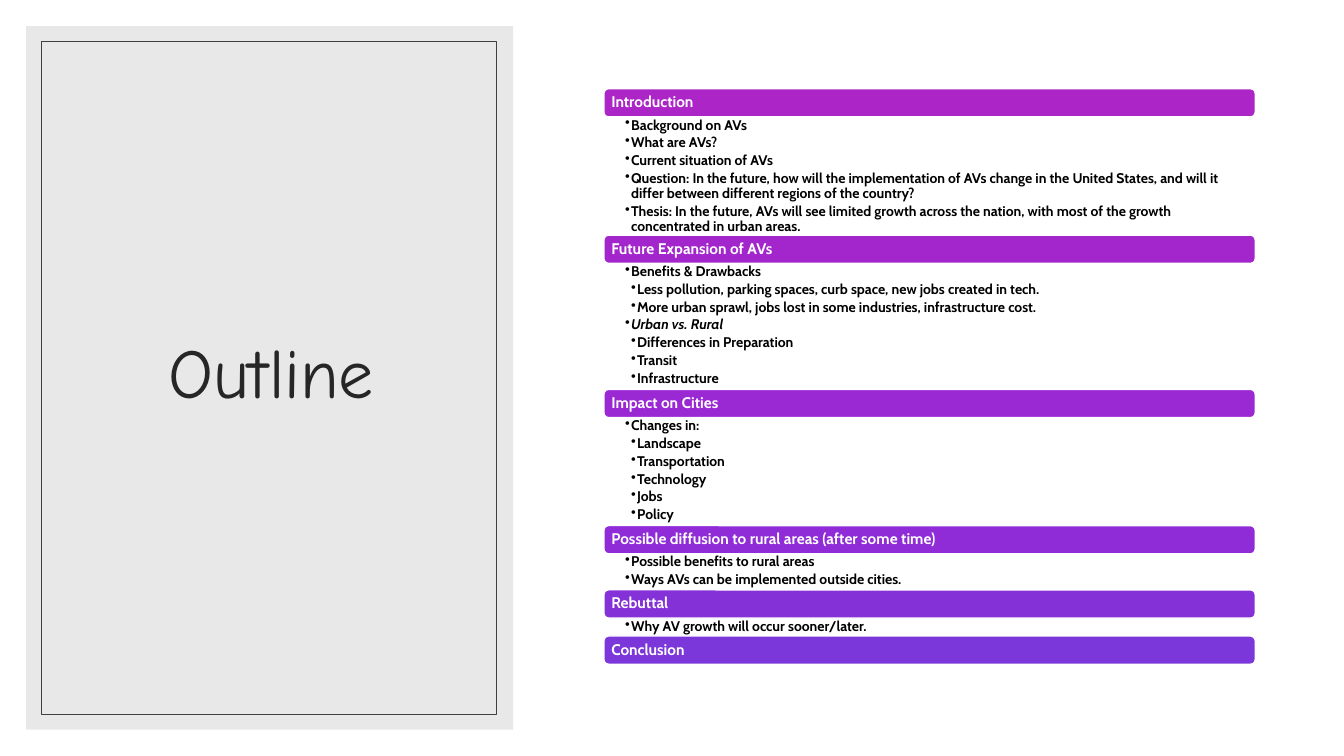
from lxml import etree
from pptx import Presentation
from pptx.dml.color import RGBColor
from pptx.enum.shapes import MSO_SHAPE
from pptx.enum.text import MSO_ANCHOR, MSO_AUTO_SIZE, PP_ALIGN
from pptx.oxml.ns import qn
from pptx.util import Inches, Pt

RECTANGLE, ROUNDED = MSO_SHAPE.RECTANGLE, MSO_SHAPE.ROUNDED_RECTANGLE
TOP, MIDDLE = MSO_ANCHOR.TOP, MSO_ANCHOR.MIDDLE
LEFT, CENTER = PP_ALIGN.LEFT, PP_ALIGN.CENTER
NO_AUTOFIT = MSO_AUTO_SIZE.NONE

TITLE = "Outline"
ITALIC_POINT = "Urban vs. Rural"
SECTIONS = [
    ("Introduction", "AC25C7", 2, [
        (1, "Background on AVs"),
        (1, "What are AVs?"),
        (1, "Current situation of AVs"),
        (1, "Question: In the future, how will the implementation of AVs change in the "
            "United States, and will it differ between different regions of the country?"),
        (1, "Thesis: In the future, AVs will see limited growth across the nation, "
            "with most of the growth concentrated in urban areas."),
    ]),
    ("Future Expansion of AVs", "A326CD", 0, [
        (1, "Benefits & Drawbacks"),
        (2, "Less pollution, parking spaces, curb space, new jobs created in tech."),
        (2, "More urban sprawl, jobs lost in some industries, infrastructure cost."),
        (1, ITALIC_POINT),
        (2, "Differences in Preparation"),
        (2, "Transit"),
        (2, "Infrastructure"),
    ]),
    ("Impact on Cities", "9A28D3", 0, [
        (1, "Changes in:"),
        (2, "Landscape"),
        (2, "Transportation"),
        (2, "Technology"),
        (2, "Jobs"),
        (2, "Policy"),
    ]),
    ("Possible diffusion to rural areas (after some time)", "8F2BD7", 0, [
        (1, "Possible benefits to rural areas"),
        (1, "Ways AVs can be implemented outside cities."),
    ]),
    ("Rebuttal", "8531D8", 0, [
        (1, "Why AV growth will occur sooner/later."),
    ]),
    ("Conclusion", "7B37D9", 0, []),
]

COLORS = {"panel": "D9D9D9", "frame": "404040", "title": "262626",
          "white": "FFFFFF", "point": "000000"}
TITLE_FONT = {"name": "Comic Neue", "size": Pt(50), "bold": False}
HEADING_FONT = {"name": "Cabin", "size": Pt(11), "bold": True}
POINT_FONT = {"name": "Cabin", "size": Pt(10), "bold": True}

SLIDE_W, SLIDE_H = 13.33, 7.5
PANEL = (0.26, 0.26, 4.83, 6.98)
FRAME = (0.41, 0.41, 4.51, 6.68)
TITLE_BOX = (0.63, 0.61, 4.12, 6.24)
LIST_LEFT, LIST_TOP, LIST_W = 5.99, 0.88, 6.46
HEADING_H = 0.28
POINT_ROW = 1.25 / 7
WRAPPED_ROW = 0.14
INDENT = 0.06


def add_box(kind, area, fill=None, line=None, line_width=1):
    box = slide.shapes.add_shape(kind, *map(Inches, area))
    box.shadow.inherit = False
    if fill:
        box.fill.solid()
        box.fill.fore_color.rgb = RGBColor.from_string(fill)
    else:
        box.fill.background()
    if line:
        box.line.color.rgb = RGBColor.from_string(line)
        box.line.width = Pt(line_width)
    else:
        box.line.fill.background()
    return box


def format_frame(frame, margins, anchor):
    frame.word_wrap = True
    frame.auto_size = NO_AUTOFIT
    frame.vertical_anchor = anchor
    for side, margin in zip(("left", "top", "right", "bottom"), margins):
        setattr(frame, f"margin_{side}", Inches(margin))


def write(paragraph, words, font, color, align=LEFT, italic=False):
    paragraph.alignment = align
    paragraph.line_spacing = 0.9
    run = paragraph.add_run()
    run.text = words
    for attribute, value in font.items():
        setattr(run.font, attribute, value)
    run.font.italic = italic
    run.font.color.rgb = RGBColor.from_string(color)


def add_bullet(paragraph, level):
    paragraph.level = level
    paragraph.space_after = Pt(1.9)
    properties = paragraph._p.get_or_add_pPr()
    properties.set("marL", str(Inches(INDENT * level)))
    properties.set("indent", str(-Inches(INDENT)))
    etree.SubElement(properties, qn("a:buChar")).set("char", "•")


def add_points(points, top, height):
    area = (LIST_LEFT, top, LIST_W, height)
    frame = slide.shapes.add_textbox(*map(Inches, area)).text_frame
    format_frame(frame, (0.21, 0.01, 0.08, 0.01), TOP)
    for index, (level, words) in enumerate(points):
        paragraph = frame.add_paragraph() if index else frame.paragraphs[0]
        write(paragraph, words, POINT_FONT, COLORS["point"], italic=words == ITALIC_POINT)
        add_bullet(paragraph, level)


presentation = Presentation()
presentation.slide_width, presentation.slide_height = Inches(SLIDE_W), Inches(SLIDE_H)
slide = presentation.slides.add_slide(presentation.slide_layouts[5])

title = slide.shapes.title
title.left, title.top, title.width, title.height = map(Inches, TITLE_BOX)
format_frame(title.text_frame, (0.1, 0.05, 0.1, 0.05), MIDDLE)
write(title.text_frame.paragraphs[0], TITLE, TITLE_FONT, COLORS["title"], CENTER)

panel = add_box(RECTANGLE, PANEL, COLORS["panel"])
panel_color = panel.fill._xPr.find(qn("a:solidFill"))[0]
etree.SubElement(panel_color, qn("a:alpha")).set("val", "60000")
title._element.addprevious(panel._element)
add_box(RECTANGLE, FRAME, line=COLORS["frame"], line_width=0.5)

top = LIST_TOP
for heading, color, wraps, points in SECTIONS:
    bar = add_box(ROUNDED, (LIST_LEFT, top, LIST_W, HEADING_H), color, COLORS["white"])
    format_frame(bar.text_frame, (0.06, 0.05, 0.06, 0.05), MIDDLE)
    write(bar.text_frame.paragraphs[0], heading, HEADING_FONT, COLORS["white"])
    top += HEADING_H
    if points:
        points_h = len(points) * POINT_ROW + wraps * WRAPPED_ROW
        add_points(points, top, points_h)
        top += points_h

presentation.save("out.pptx")
